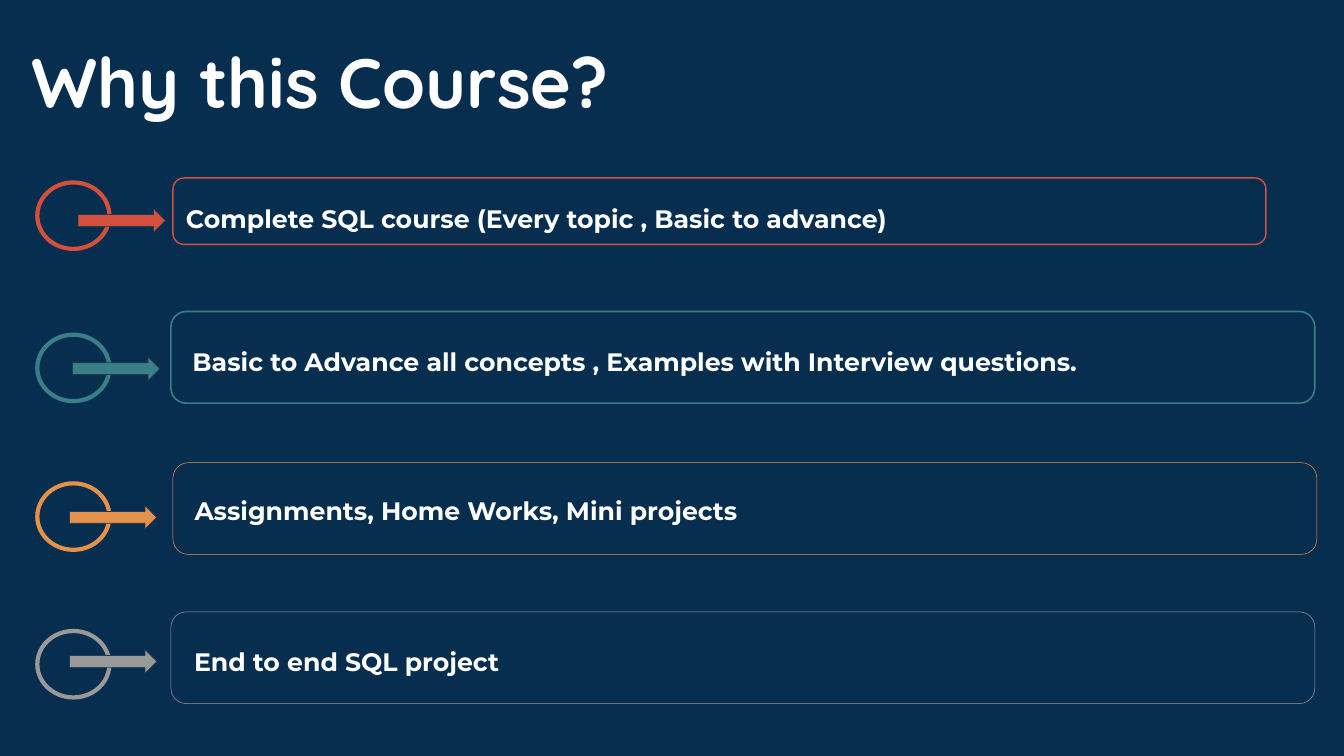
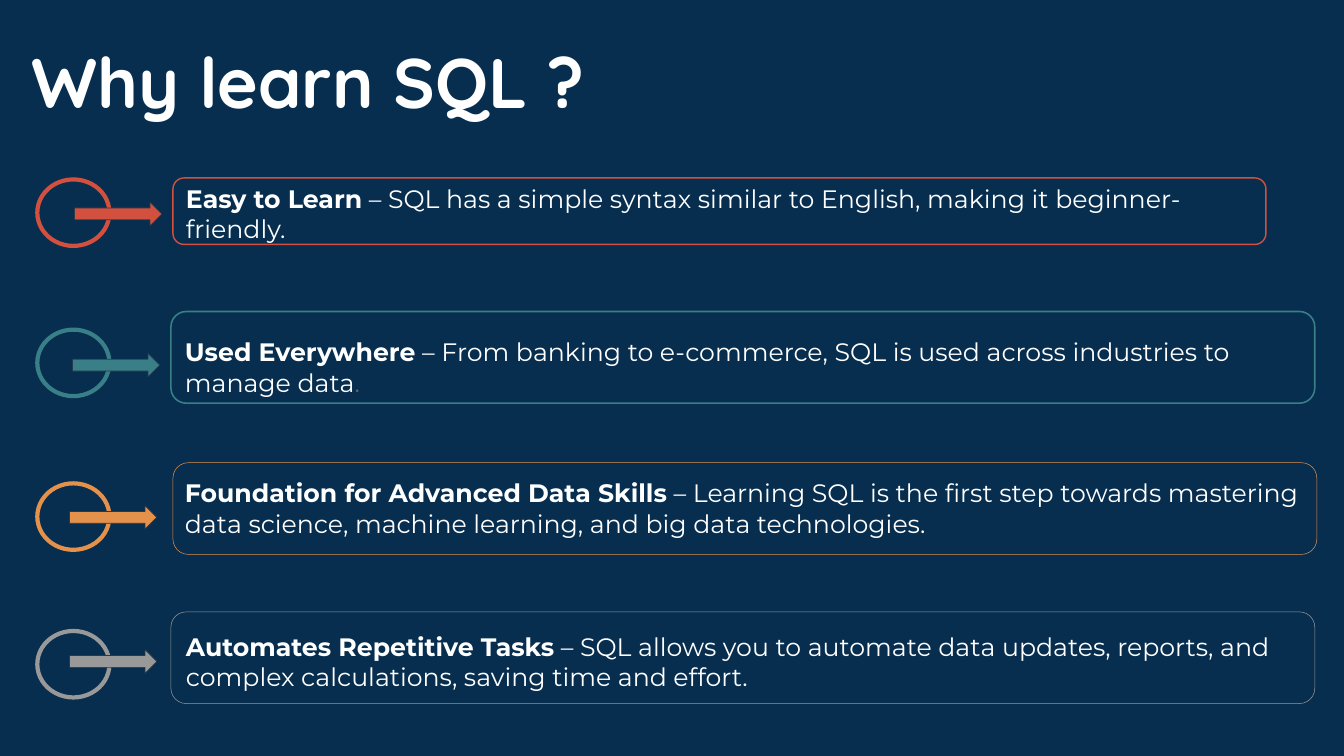
from dataclasses import dataclass

from pptx import Presentation
from pptx.dml.color import RGBColor
from pptx.enum.shapes import MSO_SHAPE as Preset
from pptx.enum.text import MSO_ANCHOR as Anchor, MSO_AUTO_SIZE as AutoSize, PP_ALIGN as Align
from pptx.util import Pt


@dataclass(frozen=True)
class Theme:
    navy: str = "072E4F"
    white: str = "FFFFFF"
    arrow_edge: str = "273A4C"
    faint: str = "616161"
    accents: tuple = ("D34F3E", "397F87", "E4914C", "999999")
    title_font: str = "Quicksand"
    body_font: str = "Montserrat"
    title_size: int = 100
    body_size: int = 36


theme = Theme()

# Frames shared by both slides: left, top, width, height, line width
frames = [
    (247, 254.2, 1561, 95, 2),
    (244.1, 445, 1633.7, 131, 2.25),
    (247, 661, 1633.7, 131, 0.75),
    (244.1, 874.1, 1633.7, 131, 0.75),
]
text_widths = [1538, 1541.5, 1633.7, 1587.6]

# Each row: circle top, arrow (left, top), text (left, top), bold lead, rest, faint ending
slides = [
    ("Why this Course?", 51.1, [
        (260.6, (111.6, 298.1), (258.5, 286.6),
         "Complete SQL course (Every topic , Basic to advance)", "", ""),
        (478.1, (103.7, 509.8), (267.8, 491),
         "Basic to Advance all concepts , Examples with Interview questions.", "", ""),
        (690.5, (99.4, 722.2), (270.7, 703.4),
         "Assignments, Home Works, Mini projects", "", ""),
        (901.4, (99.4, 928.1), (270, 920.2),
         "End to end SQL project", "", ""),
    ]),
    ("Why learn SQL ?", 94.3, [
        (256.3, (106.6, 288.7), (258.5, 258.5), "Easy to Learn",
         " – SQL has a simple syntax similar to English, making it beginner-friendly.", ""),
        (470.9, (103.7, 504.7), (257, 477.4), "Used Everywhere",
         " – From banking to e-commerce, SQL is used across industries to manage data", "."),
        (690.5, (99.4, 722.2), (257, 679), "Foundation for Advanced Data Skills",
         " – Learning SQL is the first step towards mastering data science, machine learning, "
         "and big data technologies.", ""),
        (901.4, (99.4, 928.1), (258.5, 897.8), "Automates Repetitive Tasks",
         " – SQL allows you to automate data updates, reports, and complex calculations, "
         "saving time and effort.", ""),
    ]),
]


def add_outlined(slide, preset, box, line_color, line_width, fill=None):
    shape = slide.shapes.add_shape(preset, *map(Pt, box))
    shape.shadow.inherit = False
    if fill:
        shape.fill.solid()
        shape.fill.fore_color.rgb = RGBColor.from_string(fill)
    else:
        shape.fill.background()
    shape.line.color.rgb = RGBColor.from_string(line_color)
    shape.line.width = Pt(line_width)


def style_paragraph(paragraph, name, size):
    paragraph.alignment = Align.LEFT
    paragraph.font.name = name
    paragraph.font.size = Pt(size)
    paragraph.font.color.rgb = RGBColor.from_string(theme.white)


presentation = Presentation()
presentation.slide_width, presentation.slide_height = Pt(1919.5), Pt(1080)
background = presentation.slide_master.background.fill
background.solid()
background.fore_color.rgb = RGBColor.from_string(theme.navy)
title_only = presentation.slide_layouts[5]

for heading, _, rows in slides:
    slide = presentation.slides.add_slide(title_only)

    title = slide.shapes.title
    title.left, title.top, title.width, title.height = map(Pt, (38.2, 51.1, 1863.4, 128.2))
    title.fill.solid()
    title.fill.fore_color.rgb = RGBColor.from_string(theme.navy)
    title.text_frame.text = heading
    title.text_frame.auto_size = AutoSize.NONE
    title.text_frame.vertical_anchor = Anchor.TOP
    style_paragraph(title.text_frame.paragraphs[0], theme.title_font, theme.title_size)
    title.text_frame.paragraphs[0].font.bold = True

    for row, accent, frame, text_width in zip(rows, theme.accents, frames, text_widths):
        circle_top, arrow_corner, text_corner, lead, rest, ending = row
        *frame_box, frame_line = frame
        add_outlined(slide, Preset.OVAL, (53.3, circle_top, 103, 95), accent, 6)
        add_outlined(slide, Preset.ROUNDED_RECTANGLE, frame_box, accent, frame_line)
        add_outlined(slide, Preset.RIGHT_ARROW, (*arrow_corner, 124.6, 33.8),
                     theme.arrow_edge, 1, fill=accent)

        text_height = 94.3 if rest else 51.1
        text_box = slide.shapes.add_textbox(*map(Pt, (*text_corner, text_width, text_height)))
        text_box.text_frame.word_wrap = True
        paragraph = text_box.text_frame.paragraphs[0]
        style_paragraph(paragraph, theme.body_font, theme.body_size)
        for text, bold, color in ((lead, True, theme.white), (rest, False, theme.white),
                                  (ending, False, theme.faint)):
            if text:
                run = paragraph.add_run()
                run.text = text
                run.font.bold = bold
                run.font.color.rgb = RGBColor.from_string(color)

presentation.save("out.pptx")
